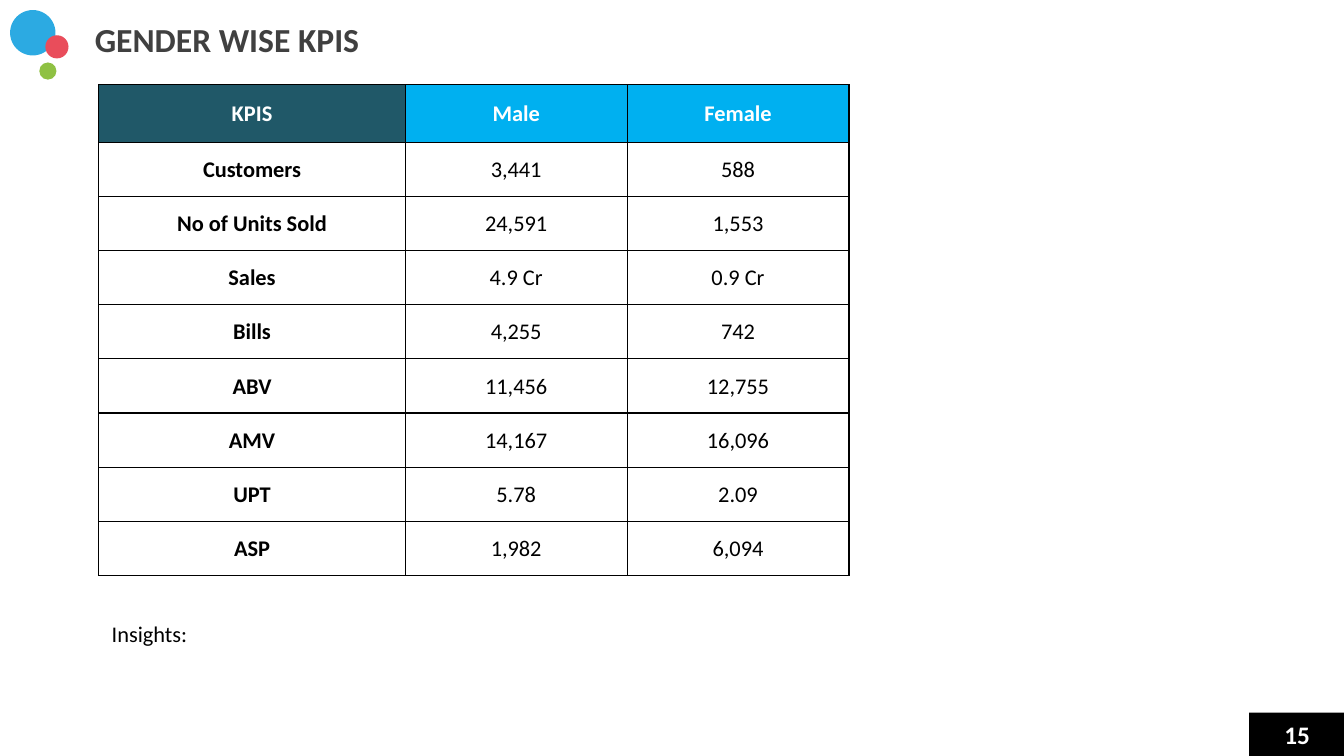
from lxml import etree
from pptx import Presentation
from pptx.dml.color import RGBColor
from pptx.enum import shapes, text
from pptx.oxml import ns
from pptx.util import Inches, Pt

COLORS = {
    "white": "FFFFFF",
    "black": "000000",
    "title": "404040",
    "kpi_header": "205868",
    "gender_header": "00B0F0",
    "blue": "2CAAE2",
    "red": "E94D5B",
    "green": "8FC143",
}
FONT = "Calibri"
KPI_ROWS = [
    ("KPIS", "Male", "Female"),
    ("Customers", "3,441", "588"),
    ("No of Units Sold", "24,591", "1,553"),
    ("Sales", "4.9 Cr", "0.9 Cr"),
    ("Bills", "4,255", "742"),
    ("ABV", "11,456", "12,755"),
    ("AMV", "14,167", "16,096"),
    ("UPT", "5.78", "2.09"),
    ("ASP", "1,982", "6,094"),
]


def rgb(name):
    return RGBColor.from_string(COLORS[name])


def write(frame, wording, size, color, bold=False, align=text.PP_ALIGN.LEFT):
    paragraph = frame.paragraphs[0]
    paragraph.alignment = align
    run = paragraph.add_run()
    run.text = wording
    run.font.name = FONT
    run.font.size = Pt(size)
    run.font.bold = bold
    run.font.color.rgb = rgb(color)


def set_margins(target, left, top, right, bottom):
    target.margin_left = Inches(left)
    target.margin_top = Inches(top)
    target.margin_right = Inches(right)
    target.margin_bottom = Inches(bottom)


def add_filled_shape(slide, kind, left, top, width, height, color):
    shape = slide.shapes.add_shape(
        kind, Inches(left), Inches(top), Inches(width), Inches(height))
    shape.shadow.inherit = False
    shape.fill.solid()
    shape.fill.fore_color.rgb = rgb(color)
    shape.line.fill.background()
    return shape


def add_circles(slide, left, top):
    circles = [(0, 0, 0.45, "blue"), (0.35, 0.25, 0.23, "red"), (0.29, 0.52, 0.17, "green")]
    for across, down, diameter, color in circles:
        add_filled_shape(slide, shapes.MSO_SHAPE.OVAL, left + across, top + down,
                         diameter, diameter, color)


def add_page_number(slide, left, top, width, height):
    box = add_filled_shape(slide, shapes.MSO_SHAPE.RECTANGLE, left, top, width, height, "black")
    box.text_frame.vertical_anchor = text.MSO_ANCHOR.MIDDLE
    write(box.text_frame, "15", 18, "white", True, text.PP_ALIGN.CENTER)


def place_title(slide, left, top, width, height):
    title = slide.shapes.title
    title.left, title.top = Inches(left), Inches(top)
    title.width, title.height = Inches(width), Inches(height)
    frame = title.text_frame
    frame.word_wrap = True
    frame.auto_size = text.MSO_AUTO_SIZE.NONE
    frame.vertical_anchor = text.MSO_ANCHOR.MIDDLE
    set_margins(frame, 0, 0.01, 0, 0)
    write(frame, "GENDER WISE KPIS", 24, "title", True)


def add_borders(cell, color):
    properties = cell._tc.get_or_add_tcPr()
    for side in ("lnL", "lnR", "lnT", "lnB"):
        line = etree.SubElement(properties, ns.qn(f"a:{side}"), w=str(Pt(1)))
        fill = etree.SubElement(line, ns.qn("a:solidFill"))
        etree.SubElement(fill, ns.qn("a:srgbClr"), val=COLORS[color])


def add_kpi_table(slide, left, top, width, height):
    header_height, label_width = 0.57, 3.04
    row_count, column_count = len(KPI_ROWS), len(KPI_ROWS[0])
    table = slide.shapes.add_table(
        row_count, column_count, Inches(left), Inches(top), Inches(width), Inches(height)).table
    table.horz_banding = False
    for index, column in enumerate(table.columns):
        gender_width = (width - label_width) / (column_count - 1)
        column.width = Inches(gender_width if index else label_width)
    for index, row in enumerate(table.rows):
        body_height = (height - header_height) / (row_count - 1)
        row.height = Inches(body_height if index else header_height)

    for row_index, values in enumerate(KPI_ROWS):
        for column_index, value in enumerate(values):
            is_header, is_label = row_index == 0, column_index == 0
            cell = table.cell(row_index, column_index)
            cell.vertical_anchor = text.MSO_ANCHOR.MIDDLE
            set_margins(cell, 0.01, 0.01, 0.01, 0)
            add_borders(cell, "black")
            if is_header:
                cell.fill.solid()
                cell.fill.fore_color.rgb = rgb("kpi_header" if is_label else "gender_header")
            else:
                cell.fill.background()
            write(cell.text_frame, value, 16, "white" if is_header else "black",
                  is_header or is_label, text.PP_ALIGN.CENTER)


def add_insights(slide, left, top, width, height):
    box = slide.shapes.add_textbox(Inches(left), Inches(top), Inches(width), Inches(height))
    box.text_frame.word_wrap = True
    write(box.text_frame, "Insights:", 16, "black")


def build_kpi_slide(presentation):
    slide = presentation.slides.add_slide(presentation.slide_layouts[5])
    add_circles(slide, 0.1, 0.1)
    add_page_number(slide, 12.39, 7.07, 0.95, 0.43)
    place_title(slide, 0.94, 0.17, 10.7, 0.42)
    add_insights(slide, 1.01, 6.1, 10.15, 0.37)
    add_kpi_table(slide, 0.98, 0.84, 7.44, 4.87)


def main():
    presentation = Presentation()
    presentation.slide_width = Inches(13.33)
    presentation.slide_height = Inches(7.5)
    build_kpi_slide(presentation)
    presentation.save("out.pptx")


if __name__ == "__main__":
    main()
